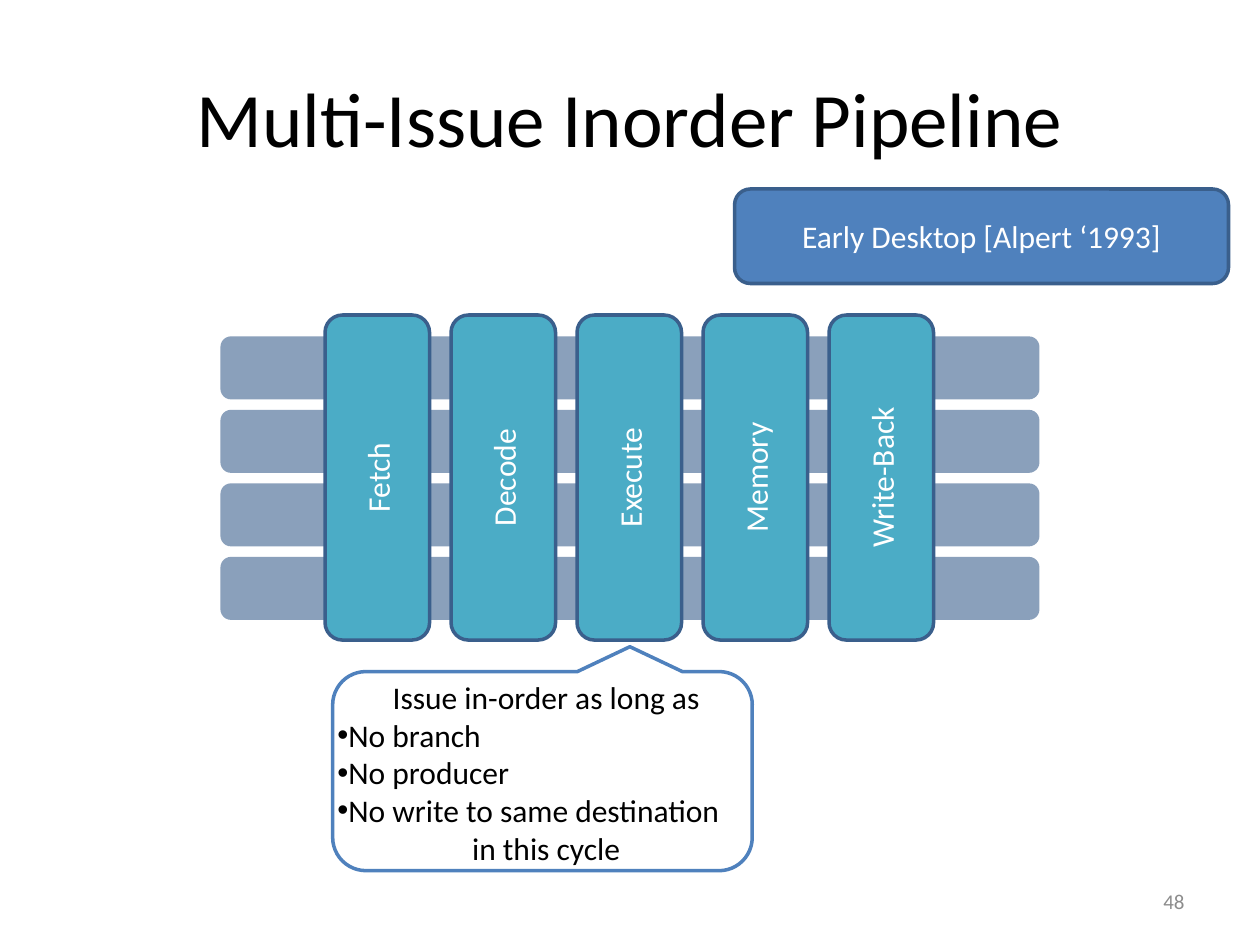
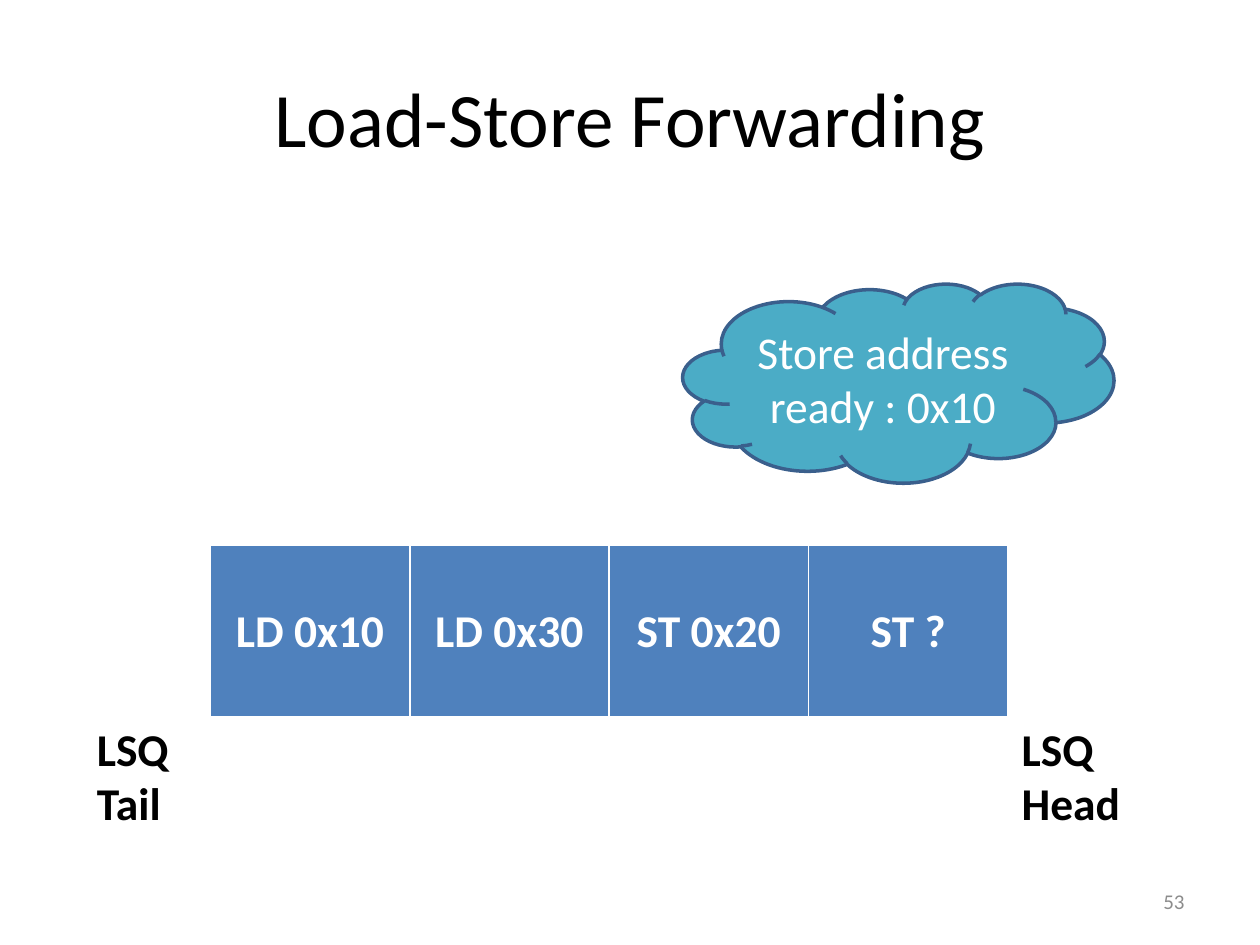
from dataclasses import dataclass

from lxml import etree
from pptx import Presentation
from pptx.dml.color import RGBColor
from pptx.enum.shapes import MSO_SHAPE
from pptx.enum.text import MSO_ANCHOR, MSO_AUTO_SIZE, PP_ALIGN
from pptx.oxml.ns import qn
from pptx.shapes.autoshape import Shape
from pptx.slide import Slide
from pptx.table import _Cell
from pptx.text.text import TextFrame, _Paragraph
from pptx.util import Inches, Pt

ROUNDED = MSO_SHAPE.ROUNDED_RECTANGLE
CALLOUT = MSO_SHAPE.ROUNDED_RECTANGULAR_CALLOUT
CLOUD = MSO_SHAPE.CLOUD
LEFT, CENTER, RIGHT = PP_ALIGN.LEFT, PP_ALIGN.CENTER, PP_ALIGN.RIGHT
TOP, MIDDLE = MSO_ANCHOR.TOP, MSO_ANCHOR.MIDDLE

FONT = "Calibri"
COLORS = {
    "black": "000000",
    "white": "FFFFFF",
    "gray": "8C8C8C",
    "blue": "4F81BD",
    "navy": "1F497D",
    "outline": "3A5F8C",
    "teal": "4BACC6",
}


@dataclass(frozen=True)
class Box:
    left: float
    top: float
    width: float
    height: float

    def lengths(self) -> tuple:
        return tuple(Inches(value) for value in (self.left, self.top, self.width, self.height))


@dataclass(frozen=True)
class TextStyle:
    size: float
    color: str = "black"
    align: PP_ALIGN = CENTER
    bold: bool = False


@dataclass(frozen=True)
class Line:
    text: str
    bullet: bool = False


TITLE_BOX = Box(0.5, 0.3, 9, 1.25)
NUMBER_BOX = Box(7.17, 6.95, 2.33, 0.4)
TITLE = TextStyle(44)
NUMBER = TextStyle(12, "gray", RIGHT)
BODY = TextStyle(18)
SHAPE_TEXT = TextStyle(18, "white")
CLOUD_TEXT = TextStyle(26, "white")
ENTRY_TEXT = TextStyle(26, "white", bold=True)
QUEUE_LABEL = TextStyle(26, align=LEFT, bold=True)

STAGES = ("Fetch", "Decode", "Execute", "Memory", "Write-Back")
LANE_COUNT = 4
ISSUE_RULES = (
    Line("Issue in-order as long as"),
    Line("No branch", bullet=True),
    Line("No producer", bullet=True),
    Line("No write to same destination", bullet=True),
    Line("in this cycle"),
)
QUEUE_ENTRIES = ("LD 0x10", "LD 0x30", "ST 0x20", "ST ?")
BORDER_WIDTHS = {"a:lnL": 1, "a:lnR": 1, "a:lnT": 1, "a:lnB": 3}


def rgb(name: str) -> RGBColor:
    return RGBColor.from_string(COLORS[name])


def add_bullet(paragraph: _Paragraph) -> None:
    properties = paragraph._p.get_or_add_pPr()
    etree.SubElement(properties, qn("a:buFont")).set("typeface", "Arial")
    etree.SubElement(properties, qn("a:buChar")).set("char", "•")


def write_lines(frame: TextFrame, lines: tuple[Line, ...], style: TextStyle) -> None:
    for index, line in enumerate(lines):
        paragraph = frame.add_paragraph() if index else frame.paragraphs[0]
        paragraph.text = line.text
        paragraph.alignment = LEFT if line.bullet else style.align
        if line.bullet:
            add_bullet(paragraph)
        font = paragraph.font
        font.name = FONT
        font.size = Pt(style.size)
        font.bold = style.bold
        font.color.rgb = rgb(style.color)


def add_text(slide: Slide, box: Box, lines: tuple[Line, ...], style: TextStyle,
             anchor: MSO_ANCHOR = TOP, fit: bool = False) -> None:
    """Add a text box; with fit it sizes itself to unwrapped text."""
    frame = slide.shapes.add_textbox(*box.lengths()).text_frame
    frame.word_wrap = not fit
    frame.auto_size = MSO_AUTO_SIZE.SHAPE_TO_FIT_TEXT if fit else MSO_AUTO_SIZE.NONE
    frame.vertical_anchor = anchor
    write_lines(frame, lines, style)


def add_box(slide: Slide, kind: MSO_SHAPE, box: Box, fill: str | None = None,
            line: str | None = None, text: str = "",
            style: TextStyle = SHAPE_TEXT) -> Shape:
    shape = slide.shapes.add_shape(kind, *box.lengths())
    shape.shadow.inherit = False
    if fill:
        shape.fill.solid()
        shape.fill.fore_color.rgb = rgb(fill)
    else:
        shape.fill.background()
    if line:
        shape.line.color.rgb = rgb(line)
        shape.line.width = Pt(2)
    else:
        shape.line.fill.background()
    if text:
        shape.text_frame.word_wrap = True
        shape.text_frame.vertical_anchor = MIDDLE
        write_lines(shape.text_frame, (Line(text),), style)
    return shape


def set_opacity(shape: Shape, percent: int) -> None:
    color = shape.element.spPr.find(qn("a:solidFill")).find(qn("a:srgbClr"))
    etree.SubElement(color, qn("a:alpha")).set("val", str(percent * 1000))


def set_borders(cell: _Cell) -> None:
    properties = cell._tc.get_or_add_tcPr()
    for tag, width in BORDER_WIDTHS.items():
        border = etree.SubElement(properties, qn(tag))
        border.set("w", str(Pt(width)))
        fill = etree.SubElement(border, qn("a:solidFill"))
        etree.SubElement(fill, qn("a:srgbClr")).set("val", COLORS["white"])


def add_titled_slide(presentation: Presentation, title: str, number: int) -> Slide:
    slide = presentation.slides.add_slide(presentation.slide_layouts[6])
    add_text(slide, TITLE_BOX, (Line(title),), TITLE, MIDDLE)
    add_text(slide, NUMBER_BOX, (Line(str(number)),), NUMBER, MIDDLE)
    return slide


def build_pipeline_slide(presentation: Presentation) -> None:
    slide = add_titled_slide(presentation, "Multi-Issue Inorder Pipeline", 48)
    lane_pitch = 1.75 / (LANE_COUNT - 1)
    for index in range(LANE_COUNT):
        lane = add_box(slide, ROUNDED, Box(1.75, 2.67 + index * lane_pitch, 6.5, 0.5), "navy")
        set_opacity(lane, 52)
    for index, name in enumerate(STAGES):
        stage = add_box(slide, ROUNDED, Box(2.58 + index, 2.5, 0.83, 2.58),
                        "teal", "outline", name)
        stage.element.txBody.bodyPr.set("vert", "vert270")
    callout = add_box(slide, CALLOUT, Box(2.64, 5.33, 3.33, 1.58), line="blue")
    callout.rotation = 180
    add_text(slide, Box(2.58, 5.33, 3.51, 1.62), ISSUE_RULES, BODY, fit=True)
    add_box(slide, ROUNDED, Box(5.83, 1.5, 3.92, 0.75), "blue", "outline",
            "Early Desktop [Alpert ‘1993]")


def build_forwarding_slide(presentation: Presentation) -> None:
    slide = add_titled_slide(presentation, "Load-Store Forwarding", 53)
    queue_box = Box(1.67, 4.33, 6.33, 1.37)
    queue = slide.shapes.add_table(1, len(QUEUE_ENTRIES), *queue_box.lengths()).table
    for cell, entry in zip(queue.rows[0].cells, QUEUE_ENTRIES):
        set_borders(cell)
        cell.fill.solid()
        cell.fill.fore_color.rgb = rgb("blue")
        cell.vertical_anchor = MIDDLE
        write_lines(cell.text_frame, (Line(entry),), ENTRY_TEXT)
    add_box(slide, CLOUD, Box(5.42, 2.25, 3.42, 1.58), "teal", "outline",
            "Store address ready : 0x10", CLOUD_TEXT)
    for end, left, width in (("Head", 8.01, 0.99), ("Tail", 0.67, 0.78)):
        add_text(slide, Box(left, 5.67, width, 0.98), (Line("LSQ"), Line(end)),
                 QUEUE_LABEL, fit=True)


def main() -> None:
    presentation = Presentation()
    presentation.slide_width = Inches(10)
    presentation.slide_height = Inches(7.5)
    build_pipeline_slide(presentation)
    build_forwarding_slide(presentation)
    presentation.save("out.pptx")


if __name__ == "__main__":
    main()
